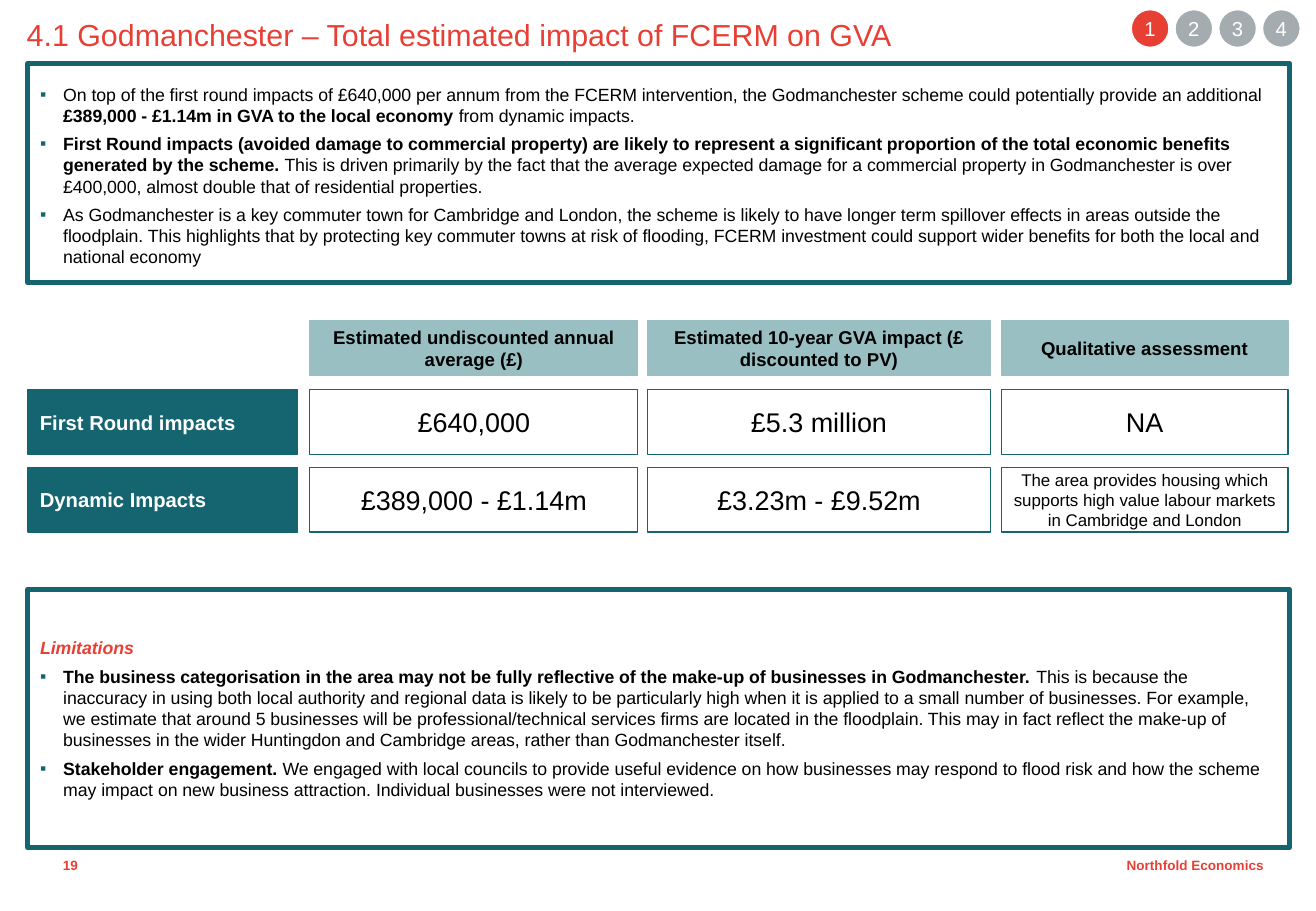
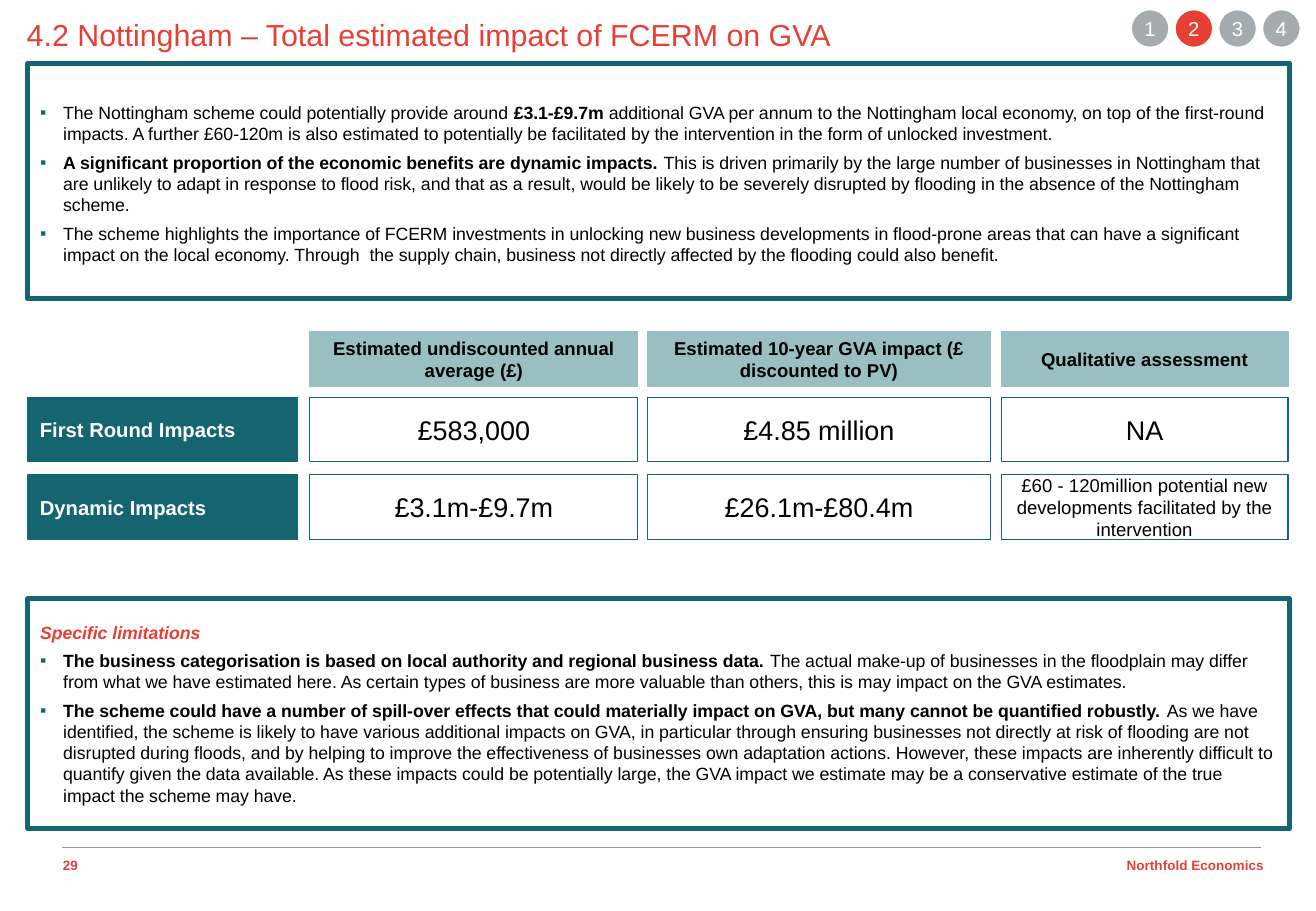
"""Build two case-study slides on the estimated GVA impact of flood schemes."""
from dataclasses import dataclass

from lxml import etree
from pptx import Presentation
from pptx.dml.color import RGBColor
from pptx.enum.shapes import MSO_CONNECTOR, MSO_SHAPE
from pptx.enum.text import MSO_ANCHOR, MSO_AUTO_SIZE, PP_ALIGN
from pptx.oxml.ns import qn
from pptx.util import Inches, Pt


@dataclass(frozen=True)
class Theme:
    font: str = "Arial"
    red: str = "E83F35"
    teal: str = "156570"
    pale: str = "99BFC2"
    grey: str = "A5ACAF"
    rule: str = "969696"
    white: str = "FFFFFF"
    black: str = "000000"
    title: float = 18
    value: float = 16
    label: float = 12
    header: float = 11
    body: float = 10.5
    footer: float = 8
    gap: float = 4.2
    thin: float = 0.75
    thick: float = 3


THEME = Theme()
COMPANY = "Northfold Economics"
HEADERS = (
    "Estimated undiscounted annual average (£)",
    "Estimated 10-year GVA impact (£ discounted to PV)",
    "Qualitative assessment",
)
SECTIONS = 4
LEFT, WIDTH = 0.23, 10.38
COLUMNS = ((LEFT, 2.22), (2.55, 2.7), (5.33, 2.82), (8.24, 2.36))
HEADER_HEIGHT, ROW_HEIGHT, ROW_PITCH = 0.45, 0.53, 0.64

CASES = (
    {
        "section": 1,
        "page": "19",
        "title": "4.1 Godmanchester – Total estimated impact of FCERM on GVA",
        "summary_span": (0.52, 1.81),
        "summary": (
            "On top of the first round impacts of £640,000 per annum from the FCERM intervention, "
            "the Godmanchester scheme could potentially provide an additional "
            "*£389,000 - £1.14m in GVA to the local economy *from dynamic impacts.",
            "*First Round impacts (avoided damage to commercial property) are likely to represent a "
            "significant proportion of the total economic benefits generated by the scheme. *"
            "This is driven primarily by the fact that the average expected damage for a commercial "
            "property in Godmanchester is over £400,000, almost double that of residential properties.",
            "As Godmanchester is a key commuter town for Cambridge and London, the scheme is likely to "
            "have longer term spillover effects in areas outside the floodplain. This highlights that by "
            "protecting key commuter towns at risk of flooding, FCERM investment could support wider "
            "benefits for both the local and national economy",
        ),
        "header_top": 2.64,
        "rows_top": 3.21,
        "rows": (
            ("First Round impacts", "£640,000", "£5.3 million", "NA"),
            ("Dynamic Impacts", "£389,000 - £1.14m", "£3.23m - £9.52m",
             "The area provides housing which supports high value labour markets in Cambridge and London"),
        ),
        "note_size": 10,
        "limits_span": (4.85, 2.13),
        "limits_heading": "Limitations",
        "limits": (
            "*The business categorisation in the area may not be fully reflective of the make-up of "
            "businesses in Godmanchester. *This is because the inaccuracy in using both local authority "
            "and regional data is likely to be particularly high when it is applied to a small number of "
            "businesses. For example, we estimate that around 5 businesses will be professional/technical "
            "services firms are located in the floodplain. This may in fact reflect the make-up of "
            "businesses in the wider Huntingdon and Cambridge areas, rather than Godmanchester itself.",
            "*Stakeholder engagement. *We engaged with local councils to provide useful evidence on how "
            "businesses may respond to flood risk and how the scheme may impact on new business "
            "attraction. Individual businesses were not interviewed.",
        ),
    },
    {
        "section": 2,
        "page": "29",
        "title": "4.2 Nottingham – Total estimated impact of FCERM on GVA",
        "summary_span": (0.52, 1.94),
        "summary": (
            "The Nottingham scheme could potentially provide around *£3.1-£9.7m *additional GVA per annum "
            "to the Nottingham local economy, on top of the first-round impacts. A further £60-120m is "
            "also estimated to potentially be facilitated by the intervention in the form of unlocked "
            "investment.",
            "*A significant proportion of the economic benefits are dynamic impacts. *This is driven "
            "primarily by the large number of businesses in Nottingham that are unlikely to adapt in "
            "response to flood risk, and that as a result, would be likely to be severely disrupted by "
            "flooding in the absence of the Nottingham scheme.",
            "The scheme highlights the importance of FCERM investments in unlocking new business "
            "developments in flood-prone areas that can have a significant impact on the local economy. "
            "Through  the supply chain, business not directly affected by the flooding could also benefit.",
        ),
        "header_top": 2.73,
        "rows_top": 3.27,
        "rows": (
            ("First Round Impacts", "£583,000", "£4.85 million", "NA"),
            ("Dynamic Impacts", "£3.1m-£9.7m", "£26.1m-£80.4m",
             "£60 - 120million potential new developments facilitated by the intervention"),
        ),
        "note_size": 11,
        "limits_span": (4.93, 1.89),
        "limits_heading": "Specific limitations",
        "limits": (
            "*The business categorisation is based on local authority and regional business data. *The "
            "actual make-up of businesses in the floodplain may differ from what we have estimated here. "
            "As certain types of business are more valuable than others, this is may impact on the GVA "
            "estimates.",
            "*The scheme could have a number of spill-over effects that could materially impact on GVA, "
            "but many cannot be quantified robustly. *As we have identified, the scheme is likely to have "
            "various additional impacts on GVA, in particular through ensuring businesses not directly at "
            "risk of flooding are not disrupted during floods, and by helping to improve the effectiveness "
            "of businesses own adaptation actions. However, these impacts are inherently difficult to "
            "quantify given the data available. As these impacts could be potentially large, the GVA "
            "impact we estimate may be a conservative estimate of the true impact the scheme may have.",
        ),
    },
)


def rgb(color):
    return RGBColor.from_string(color)


def set_bullet(paragraph, bullet):
    properties = paragraph._p.get_or_add_pPr()
    indent = Inches(0.19) if bullet else 0
    properties.set("marL", str(indent))
    properties.set("indent", str(-indent))
    if not bullet:
        etree.SubElement(properties, qn("a:buNone"))
        return
    tint = etree.SubElement(properties, qn("a:buClr"))
    etree.SubElement(tint, qn("a:srgbClr"), val=THEME.teal)
    etree.SubElement(properties, qn("a:buFont"), typeface=THEME.font)
    etree.SubElement(properties, qn("a:buChar"), char="▪")


def write(shape, *texts, size=THEME.body, color=THEME.black, bold=False, italic=False,
          align=PP_ALIGN.LEFT, anchor=MSO_ANCHOR.MIDDLE, bullet=False, wrap=True,
          top=0.05, bottom=0.05):
    """Append paragraphs to a shape; asterisks enclose bold passages."""
    frame = shape.text_frame
    frame.auto_size = MSO_AUTO_SIZE.NONE
    frame.word_wrap = wrap
    frame.vertical_anchor = anchor
    frame.margin_left = frame.margin_right = Inches(0.1)
    frame.margin_top, frame.margin_bottom = Inches(top), Inches(bottom)
    for text in texts:
        first = not frame.text
        paragraph = frame.paragraphs[0] if first else frame.add_paragraph()
        set_bullet(paragraph, bullet)
        paragraph.alignment = align
        paragraph.space_before = Pt(0 if first else THEME.gap)
        paragraph.space_after = Pt(0)
        for position, passage in enumerate(text.split("*")):
            if passage:
                run = paragraph.add_run()
                run.text = passage
                run.font.name = THEME.font
                run.font.size = Pt(size)
                run.font.bold = bold or position % 2 == 1
                run.font.italic = italic
                run.font.color.rgb = rgb(color)


def paint(shape, fill, line, weight=THEME.thin):
    shape.fill.solid()
    shape.fill.fore_color.rgb = rgb(fill)
    shape.line.color.rgb = rgb(line)
    shape.line.width = Pt(weight)


def place(shape, left, top, width, height):
    shape.left, shape.top = Inches(left), Inches(top)
    shape.width, shape.height = Inches(width), Inches(height)


def add_block(slide, box, fill, line, kind=MSO_SHAPE.RECTANGLE):
    block = slide.shapes.add_shape(kind, *map(Inches, box))
    block.shadow.inherit = False
    paint(block, fill, line)
    return block


def add_footer_text(slide, text, left, width, **style):
    footer = slide.shapes.add_textbox(*map(Inches, (left, 7.01, width, 0.23)))
    write(footer, text, size=THEME.footer, color=THEME.red, bold=True,
          anchor=MSO_ANCHOR.TOP, **style)
    return footer


def set_up_layout(layout, slide):
    """Give the layout the shared title place, footer rule and company name."""
    for spare in list(layout.placeholders)[3:]:
        layout.shapes.element.remove(spare.element)
    place(layout.placeholders[0], 0.12, 0.05, 10.69, 0.5)
    rule = slide.shapes.add_connector(
        MSO_CONNECTOR.STRAIGHT, *map(Inches, (0.51, 6.98, 10.38, 6.98)))
    rule.line.color.rgb = rgb(THEME.rule)
    rule.line.width = Pt(THEME.thin)
    etree.SubElement(rule._element.spPr, qn("a:effectLst"))
    company = add_footer_text(slide, COMPANY, 7.9, 2.6, align=PP_ALIGN.RIGHT)
    for shared in (rule, company):
        layout.shapes.element.append(shared.element)


def add_panel(panel, span):
    place(panel, LEFT, span[0], WIDTH, span[1])
    paint(panel, THEME.white, THEME.teal, THEME.thick)


def add_impacts(slide, case):
    for (left, width), header in zip(COLUMNS[1:], HEADERS):
        heading = add_block(slide, (left, case["header_top"], width, HEADER_HEIGHT),
                            THEME.pale, THEME.pale)
        write(heading, header, size=THEME.header, bold=True, align=PP_ALIGN.CENTER)
    for index, (name, *values) in enumerate(case["rows"]):
        top = case["rows_top"] + index * ROW_PITCH
        label = add_block(slide, (LEFT, top, COLUMNS[0][1], ROW_HEIGHT), THEME.teal, THEME.teal)
        write(label, name, size=THEME.label, color=THEME.white, bold=True)
        for (left, width), value in zip(COLUMNS[1:], values):
            cell = add_block(slide, (left, top, width, ROW_HEIGHT), THEME.white, THEME.teal)
            size = case["note_size"] if len(value) > 30 else THEME.value
            write(cell, value, size=size, align=PP_ALIGN.CENTER, top=0, bottom=0)


def add_tracker(slide, current):
    for section in range(1, SECTIONS + 1):
        left = 9.31 + (section - 1) * 0.36
        marker = add_block(slide, (left, 0.08, 0.31, 0.31),
                           THEME.red if section == current else THEME.grey,
                           THEME.white, MSO_SHAPE.OVAL)
        write(marker, str(section), size=THEME.label, color=THEME.white,
              align=PP_ALIGN.CENTER, wrap=False)


def fill_slide(slide, case):
    title, summary, limits = slide.placeholders
    write(title, case["title"], size=THEME.title, color=THEME.red,
          anchor=MSO_ANCHOR.TOP, top=0.08)
    add_panel(summary, case["summary_span"])
    write(summary, *case["summary"], bullet=True, top=0.09)
    add_panel(limits, case["limits_span"])
    write(limits, case["limits_heading"], color=THEME.red, bold=True, italic=True)
    write(limits, *case["limits"], bullet=True)
    add_impacts(slide, case)
    add_tracker(slide, case["section"])
    add_footer_text(slide, case["page"], 0.42, 0.37, wrap=False)


def main():
    deck = Presentation()
    deck.slide_width, deck.slide_height = Inches(10.83), Inches(7.5)
    layout = deck.slide_layouts.get_by_name("Two Content")
    slides = [deck.slides.add_slide(layout) for _ in CASES]
    set_up_layout(layout, slides[0])
    for slide, case in zip(slides, CASES):
        fill_slide(slide, case)
    deck.save("out.pptx")


if __name__ == "__main__":
    main()
